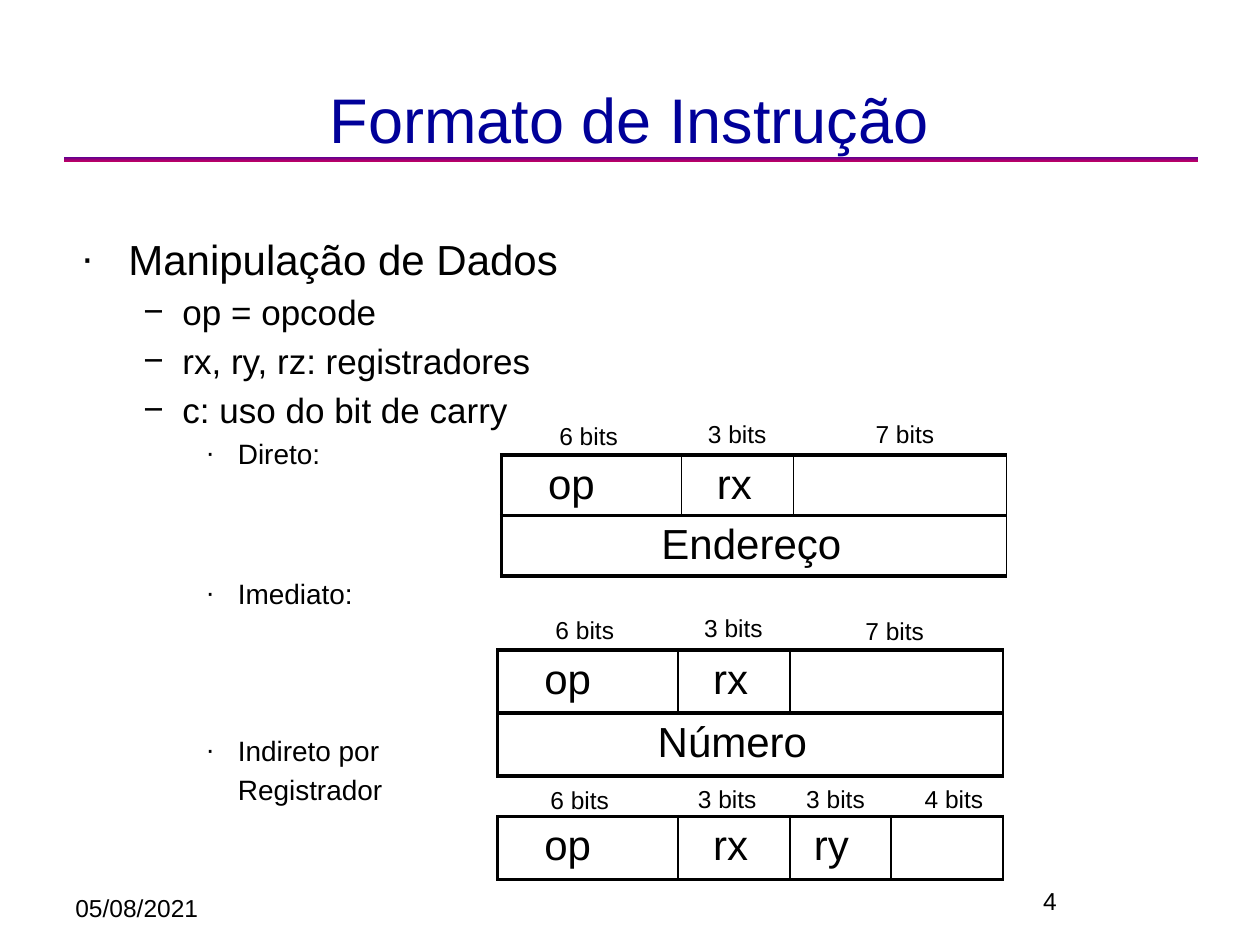
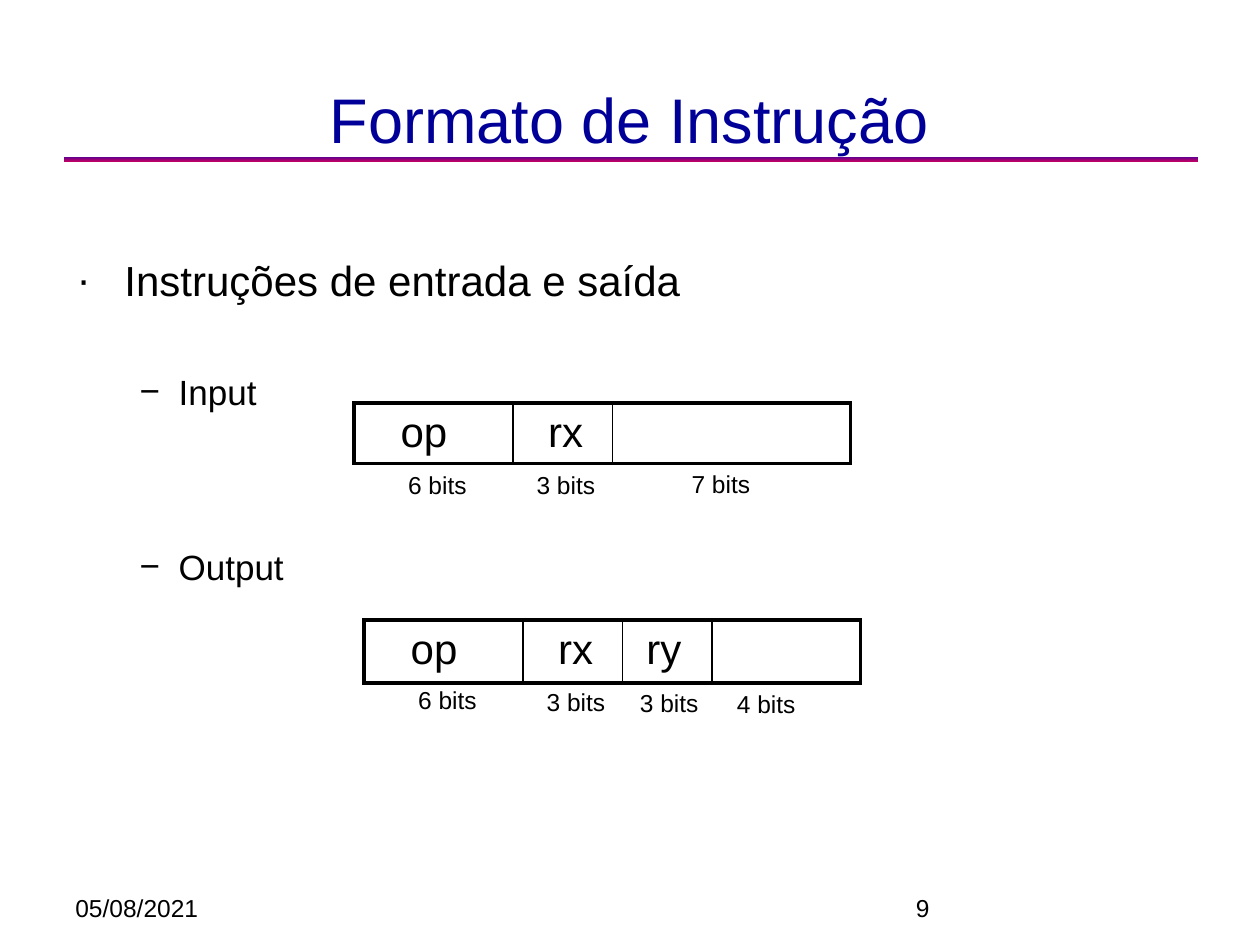
from pptx import Presentation
from pptx.dml.color import RGBColor as Rgb
from pptx.enum.shapes import MSO_SHAPE as Kind
from pptx.enum.text import MSO_ANCHOR as Anchor, PP_ALIGN as Align
from pptx.oxml.ns import qn
from pptx.util import Inches, Pt
from lxml.etree import SubElement as Sub

HUES = {"ink": "000000", "title": "000099", "dark": "66008F", "light": "BA0066"}
FONT = "Arial"
THICK, THIN = 2.21, 0.96
SPACE = 0.09
LEVELS = [
    {"size": 24, "left": 0.38, "hang": -0.37, "mark": "∙"},
    {"size": 20, "left": 0.81, "hang": -0.31, "mark": "−"},
    {"size": 16, "left": 1.25, "hang": -0.25, "mark": "∙"},
    {"size": 16, "left": 1.25, "hang": 0, "mark": None},
]
LEADS = {"op": 3, "rx": 2, "ry": 1, "Endereço": 13, "Número": 13}


def style(para, size, hue="ink"):
    for run in para.runs:
        run.font.name = FONT
        run.font.size = Pt(size)
        run.font.color.rgb = Rgb.from_string(HUES[hue])


def add_box(slide, left, top, width, height):
    box = slide.shapes.add_textbox(*map(Inches, (left, top, width, height)))
    box.text_frame.word_wrap = True
    return box.text_frame


def add_text(slide, text, left, top, width, height, size=14, hue="ink"):
    frame = add_box(slide, left, top, width, height)
    frame.text = text
    style(frame.paragraphs[0], size, hue)
    return frame


def add_frame(slide, title, number, left, top):
    bar = slide.shapes.add_shape(Kind.RECTANGLE, *map(Inches, (0.51, 1.25, 9, 0.03)))
    bar.shadow.inherit = False
    bar.line.fill.background()
    bar.fill.gradient()
    bar.fill.gradient_angle = 270
    for stop, hue in zip(bar.fill.gradient_stops, ("dark", "light")):
        stop.color.rgb = Rgb.from_string(HUES[hue])
    add_text(slide, "05/08/2021", 0.5, 7.04, 2.33, 0.52)
    add_text(slide, number, left, top, 2.33, 0.52)
    head = add_text(slide, title, 0.51, 0.5, 8.97, 0.79, 36, "title")
    head.vertical_anchor = Anchor.BOTTOM
    head.paragraphs[0].alignment = Align.CENTER


def add_mark(para, look):
    props = para._p.get_or_add_pPr()
    props.set("marL", str(Inches(look["left"])))
    props.set("indent", str(Inches(look["hang"])))
    if look["mark"]:
        tint = Sub(props, qn("a:buClr"))
        Sub(tint, qn("a:srgbClr")).set("val", HUES["ink"])
        Sub(props, qn("a:buFont")).set("typeface", FONT)
        Sub(props, qn("a:buChar")).set("char", look["mark"])
    else:
        Sub(props, qn("a:buNone"))


def add_list(slide, left, top, height, items):
    frame = add_box(slide, left, top, 8.97, height)
    for place, (level, gap, text) in enumerate(items):
        para = frame.add_paragraph() if place else frame.paragraphs[0]
        para.text = text
        para.space_before = Pt(gap)
        add_mark(para, LEVELS[level])
        style(para, LEVELS[level]["size"])


def add_edge(cell, side, width):
    line = Sub(cell._tc.get_or_add_tcPr(), qn(f"a:ln{side}"))
    line.set("w", str(Pt(width)))
    fill = Sub(line, qn("a:solidFill"))
    Sub(fill, qn("a:srgbClr")).set("val", HUES["ink"])


def set_cell(cell, text, first, last, edge):
    cell.margin_left = Inches(0.1 + SPACE * LEADS.get(text, 0))
    cell.margin_top, cell.margin_bottom = Inches(0.05), Inches(0.03)
    cell.text = text
    style(cell.text_frame.paragraphs[0], 24)
    add_edge(cell, "L", THICK if first else THIN)
    add_edge(cell, "R", edge if last else THIN)
    add_edge(cell, "T", THICK)
    add_edge(cell, "B", THICK)
    cell.fill.background()


def add_word(slide, left, top, high, widths, fields, bits, edge, wide=None):
    rows = [fields]
    if wide:
        rows.append([wide] + [""] * (len(fields) - 1))
    size = map(Inches, (left, top, sum(widths), high * len(rows)))
    grid = slide.shapes.add_table(len(rows), len(widths), *size).table
    grid.first_row = grid.horz_banding = False
    for col, width in zip(grid.columns, widths):
        col.width = Inches(width)
    end = len(widths) - 1
    for y, row in enumerate(rows):
        grid.rows[y].height = Inches(high)
        for x, text in enumerate(row):
            set_cell(grid.cell(y, x), text, x == 0, x == end, edge)
    if wide:
        grid.cell(1, 0).merge(grid.cell(1, end))
    for count, x, y in bits:
        add_text(slide, f"{count} bits", x, y, 0.72, 0.33)


def add_data(slide):
    add_frame(slide, "Formato de Instrução", "4", 8.18, 6.98)
    add_list(slide, 0.54, 1.8, 4.82, [
        (0, 0, "Manipulação de Dados"),
        (1, 4, "op = opcode"),
        (1, 4, "rx, ry, rz: registradores"),
        (1, 4, "c: uso do bit de carry"),
        (2, 3.2, "Direto:"),
        (2, 61, "Imediato:"),
        (2, 70.5, "Indireto por"),
        (3, 3.2, "Registrador"),
    ])
    three, four = (1.43, 0.89, 1.69), (1.43, 0.89, 0.8, 0.89)
    add_word(slide, 3.98, 3.61, 0.47, three, ["op", "rx", ""],
             [(6, 4.34, 3.29), (3, 5.52, 3.28), (7, 6.85, 3.28)], THIN, "Endereço")
    add_word(slide, 3.95, 5.16, 0.5, three, ["op", "rx", ""],
             [(6, 4.31, 4.83), (3, 5.49, 4.82), (7, 6.77, 4.84)], THIN, "Número")
    add_word(slide, 3.95, 6.48, 0.5, four, ["op", "rx", "ry", ""],
             [(6, 4.27, 6.18), (3, 5.44, 6.17), (3, 6.3, 6.17), (4, 7.24, 6.17)], THIN)


def add_ports(slide):
    add_frame(slide, "Formato de Instrução", "9", 7.17, 7.04)
    add_list(slide, 0.51, 1.97, 4.82, [
        (0, 0, "Instruções de entrada e saída"),
        (1, 37.5, "Input"),
        (1, 76, "Output"),
    ])
    add_word(slide, 2.81, 3.2, 0.47, (1.26, 0.79, 1.89), ["op", "rx", ""],
             [(6, 3.14, 3.68), (3, 4.16, 3.68), (7, 5.39, 3.67)], THICK)
    add_word(slide, 2.89, 4.92, 0.5, (1.26, 0.79, 0.71, 1.18), ["op", "rx", "ry", ""],
             [(6, 3.22, 5.39), (3, 4.24, 5.4), (3, 4.98, 5.41), (4, 5.75, 5.42)], THICK)


def main():
    deck = Presentation()
    deck.slide_width, deck.slide_height = Inches(10), Inches(7.5)
    for build in (add_data, add_ports):
        build(deck.slides.add_slide(deck.slide_layouts[6]))
    deck.save("out.pptx")


if __name__ == "__main__":
    main()
